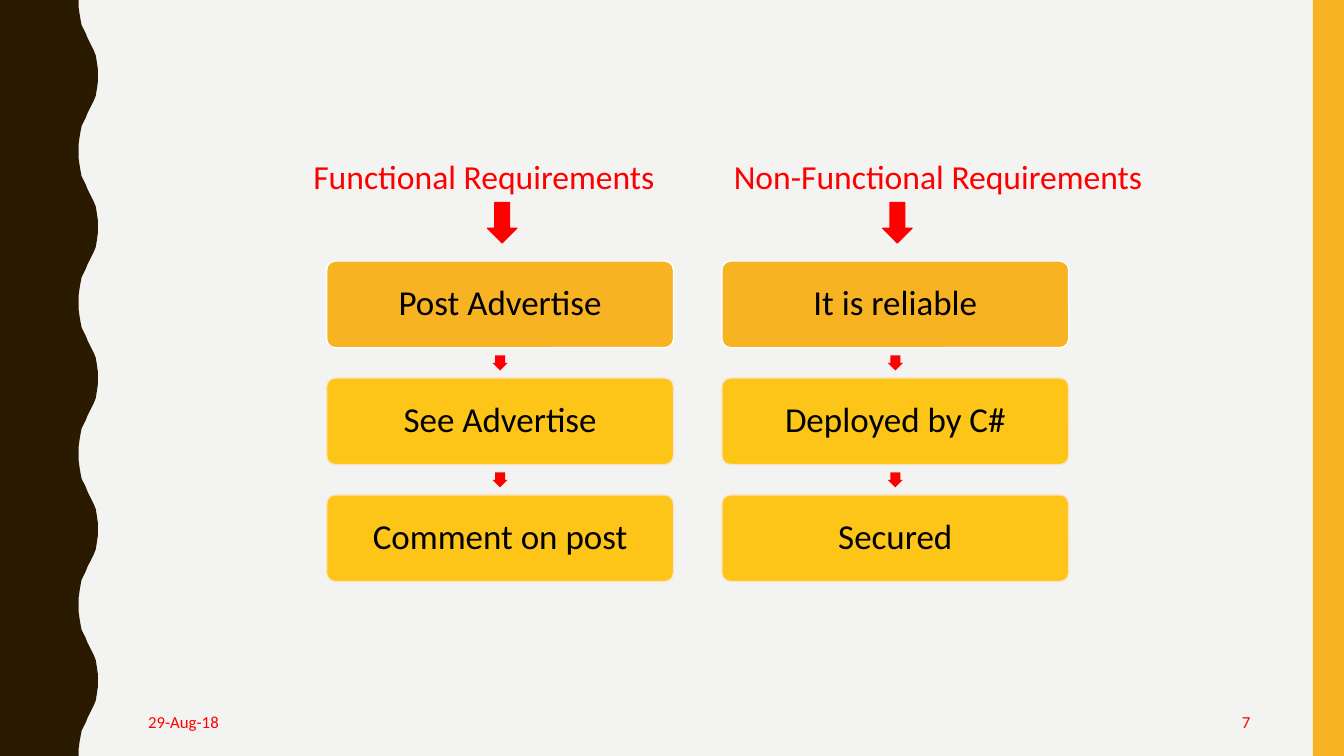
from dataclasses import dataclass

from lxml.etree import SubElement
from pptx import Presentation
from pptx.dml.color import RGBColor
from pptx.enum.shapes import MSO_SHAPE as Preset
from pptx.enum.text import MSO_ANCHOR as Anchor, PP_ALIGN as Align
from pptx.oxml.ns import qn
from pptx.shapes.autoshape import Shape
from pptx.slide import Slide
from pptx.text.text import TextFrame
from pptx.util import Inches, Pt

PAPER = RGBColor(0xF3, 0xF3, 0xF2)
BROWN = RGBColor(0x2A, 0x1A, 0x00)
AMBER = RGBColor(0xF8, 0xB3, 0x23)
GOLD = RGBColor(0xFF, 0xC0, 0x00)
CREAM = RGBColor(0xFC, 0xE5, 0xCD)
WHITE = RGBColor(0xFF, 0xFF, 0xFF)
BLACK = RGBColor(0x00, 0x00, 0x00)
RED = RGBColor(0xFF, 0x00, 0x00)

FONT = "Calibri"
SLIDE_W, SLIDE_H = 13.33, 7.5
BOX_W, BOX_H = 3.44, 0.86
FIRST_TOP, ROW_PITCH = 2.59, 1.16
HEAD_ARROW_W, HEAD_ARROW_H = 0.29, 0.4
STEP_ARROW = 0.15

# Rising half of one wave, as (x, y); the falling half mirrors it
WAVE_PITCH = 1.5
WAVE_RISE = [
    (0.78, 0), (0.78, 0.07), (0.79, 0.14), (0.8, 0.2), (0.81, 0.25),
    (0.83, 0.29), (0.85, 0.33), (0.87, 0.38), (0.89, 0.42), (0.91, 0.46),
    (0.93, 0.5), (0.95, 0.55), (0.96, 0.61), (0.97, 0.68), (0.97, 0.75),
]


@dataclass(frozen=True)
class Label:
    text: str
    left: float
    top: float
    width: float
    height: float
    size: int
    align: Align
    anchor: Anchor = Anchor.TOP


@dataclass(frozen=True)
class Requirements:
    left: float
    heading: Label
    steps: tuple[str, ...]


COLUMNS = [
    Requirements(
        3.24,
        Label("Functional Requirements", 2.88, 1.5, 3.84, 0.5, 24, Align.CENTER),
        ("Post Advertise", "See Advertise", "Comment on post"),
    ),
    Requirements(
        7.16,
        Label("Non-Functional Requirements", 7.18, 1.5, 5.03, 0.5, 24, Align.LEFT),
        ("It is reliable", "Deployed by C#", "Secured"),
    ),
]
FOOTERS = [
    Label("29-Aug-18", 1.37, 6.97, 2.55, 0.38, 12, Align.LEFT, Anchor.MIDDLE),
    Label("7", 9.42, 6.97, 3.08, 0.38, 12, Align.RIGHT, Anchor.MIDDLE),
]


def paint(shape: Shape, fill: RGBColor, line: RGBColor | None = None) -> None:
    shape.shadow.inherit = False
    shape.fill.solid()
    shape.fill.fore_color.rgb = fill
    if line is None:
        shape.line.fill.background()
    else:
        shape.line.color.rgb = line
        shape.line.width = Pt(1)


def make_translucent(shape: Shape, percent: int) -> None:
    for color in shape._element.spPr.iter(qn("a:srgbClr")):
        SubElement(color, qn("a:alpha")).set("val", str(percent * 1000))


def add_preset(slide: Slide, preset: Preset, left: float, top: float,
               width: float, height: float) -> Shape:
    return slide.shapes.add_shape(
        preset, Inches(left), Inches(top), Inches(width), Inches(height))


def write(frame: TextFrame, text: str, size: int, color: RGBColor,
          align: Align, anchor: Anchor) -> None:
    frame.word_wrap = True
    frame.vertical_anchor = anchor
    paragraph = frame.paragraphs[0]
    paragraph.alignment = align
    run = paragraph.add_run()
    run.text = text
    run.font.name = FONT
    run.font.size = Pt(size)
    run.font.color.rgb = color


def add_label(slide: Slide, label: Label) -> None:
    box = slide.shapes.add_textbox(
        Inches(label.left), Inches(label.top),
        Inches(label.width), Inches(label.height))
    write(box.text_frame, label.text, label.size, RED, label.align, label.anchor)


def add_wavy_band(slide: Slide) -> None:
    fall = [(x, WAVE_PITCH - y) for x, y in reversed(WAVE_RISE[:-1])]
    edge = [(x, y + wave * WAVE_PITCH)
            for wave in range(5) for x, y in WAVE_RISE + fall]
    outline = slide.shapes.build_freeform(0, 0)
    outline.add_line_segments(
        [(Inches(x), Inches(y)) for x, y in edge + [(0, SLIDE_H)]])
    paint(outline.convert_to_shape(), BROWN)


def add_step(slide: Slide, text: str, left: float, top: float, first: bool) -> None:
    step = add_preset(slide, Preset.ROUNDED_RECTANGLE, left, top, BOX_W, BOX_H)
    step.adjustments[0] = 0.1
    if first:
        paint(step, AMBER, WHITE)
    else:
        paint(step, GOLD, CREAM)
        make_translucent(step, 90)
    frame = step.text_frame
    frame.margin_left = frame.margin_right = Inches(0.05)
    frame.margin_top = frame.margin_bottom = Inches(0.05)
    write(frame, text, 25, BLACK, Align.CENTER, Anchor.MIDDLE)
    frame.paragraphs[0].line_spacing = 0.9


def add_column(slide: Slide, column: Requirements) -> None:
    center = column.left + BOX_W / 2
    add_label(slide, column.heading)
    head_arrow = add_preset(
        slide, Preset.DOWN_ARROW, center + 0.02 - HEAD_ARROW_W / 2, 2.01,
        HEAD_ARROW_W, HEAD_ARROW_H)
    paint(head_arrow, RED, RED)
    for row, text in enumerate(column.steps):
        top = FIRST_TOP + row * ROW_PITCH
        add_step(slide, text, column.left, top, first=row == 0)
        if row > 0:
            gap_middle = top - (ROW_PITCH - BOX_H) / 2
            step_arrow = add_preset(
                slide, Preset.DOWN_ARROW, center - STEP_ARROW / 2,
                gap_middle - STEP_ARROW / 2, STEP_ARROW, STEP_ARROW)
            step_arrow.adjustments[0] = 0.667
            paint(step_arrow, RED)


def main() -> None:
    deck = Presentation()
    deck.slide_width, deck.slide_height = Inches(SLIDE_W), Inches(SLIDE_H)
    slide = deck.slides.add_slide(deck.slide_layouts[6])

    # Background and side bands
    slide.background.fill.solid()
    slide.background.fill.fore_color.rgb = PAPER
    add_wavy_band(slide)
    paint(add_preset(slide, Preset.RECTANGLE, 13.02, 0, 0.31, SLIDE_H), AMBER)

    # Requirement columns
    for column in COLUMNS:
        add_column(slide, column)

    # Date and page number
    for footer in FOOTERS:
        add_label(slide, footer)

    deck.save("out.pptx")


if __name__ == "__main__":
    main()
